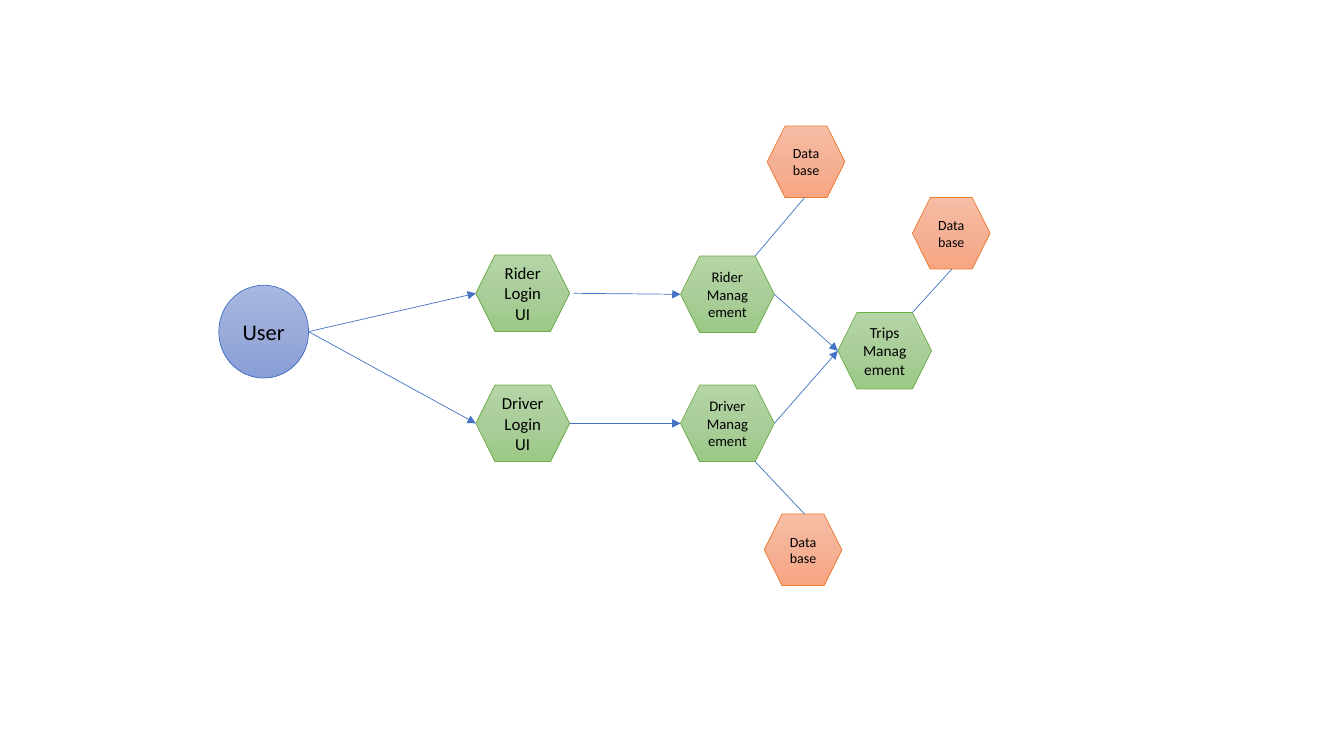
from copy import deepcopy
from dataclasses import dataclass

from lxml.etree import SubElement
from pptx import Presentation
from pptx.dml.color import RGBColor
from pptx.enum.shapes import MSO_CONNECTOR, MSO_SHAPE
from pptx.enum.text import MSO_ANCHOR, PP_ALIGN
from pptx.oxml.ns import qn
from pptx.shapes.autoshape import Shape
from pptx.slide import Slide
from pptx.util import Pt

EMU_PER_PX = 9144


@dataclass(frozen=True)
class Style:
    """Geometry, size in px, gradient and outline shared by one kind of node."""

    geometry: MSO_SHAPE
    width: int
    height: int
    gradient: tuple[str, str, str]
    outline: str


@dataclass(frozen=True)
class Theme:
    """Colours, type sizes and line width of the slide."""

    font: str = "Calibri"
    text: str = "000000"
    link: str = "4472C4"
    line_width: float = 0.5
    user_size: float = 16
    login_size: float = 12
    trips_size: float = 11
    management_size: float = 10.5
    database_size: float = 10
    user: Style = Style(MSO_SHAPE.OVAL, 89, 92, ("A8B7DF", "9AABD9", "889ED7"), "4472C4")
    service: Style = Style(MSO_SHAPE.HEXAGON, 93, 76, ("B5D5A7", "AACE9A", "9CC987"), "70AD47")
    database: Style = Style(MSO_SHAPE.HEXAGON, 77, 71, ("F7BDA5", "F5B196", "F8A582"), "ED7D31")


THEME = Theme()


@dataclass(frozen=True)
class Node:
    """A labelled shape placed by its top left corner in px."""

    label: str
    left: int
    top: int
    style: Style
    size: float

    def anchor(self, side: str) -> tuple[int, int]:
        """Return the px point on the named side or hexagon corner."""
        width, height = self.style.width, self.style.height
        corner = width - height // 4
        x, y = {
            "left": (0, height // 2),
            "right": (width, height // 2),
            "top": (width // 2, 0),
            "bottom": (width // 2, height),
            "top right": (corner, 0),
            "bottom right": (corner, height),
        }[side]
        return self.left + x, self.top + y


@dataclass(frozen=True)
class Link:
    """A line between two node anchors, with optional horizontal shifts in px."""

    start: Node
    start_side: str
    end: Node
    end_side: str
    arrow: bool = True
    start_shift: int = 0
    end_shift: int = 0


USER = Node("User", 217, 283, THEME.user, THEME.user_size)
RIDER_LOGIN = Node("Rider Login UI", 472, 253, THEME.service, THEME.login_size)
DRIVER_LOGIN = Node("Driver Login UI", 472, 382, THEME.service, THEME.login_size)
RIDER = Node("Rider Management", 675, 254, THEME.service, THEME.management_size)
DRIVER = Node("Driver Management", 675, 382, THEME.service, THEME.management_size)
TRIPS = Node("Trips Management", 831, 310, THEME.service, THEME.trips_size)
TRIPS_DATA = Node("Database", 905, 196, THEME.database, THEME.database_size)
RIDER_DATA = Node("Database", 761, 125, THEME.database, THEME.database_size)
DRIVER_DATA = Node("Database", 758, 510, THEME.database, THEME.database_size)

NODES = (USER, RIDER_LOGIN, DRIVER_LOGIN, RIDER, DRIVER, TRIPS, TRIPS_DATA, RIDER_DATA, DRIVER_DATA)

LINKS = (
    Link(USER, "right", RIDER_LOGIN, "left"),
    Link(USER, "right", DRIVER_LOGIN, "left"),
    Link(RIDER_LOGIN, "right", RIDER, "left", start_shift=4),
    Link(DRIVER_LOGIN, "right", DRIVER, "left"),
    Link(DRIVER, "right", TRIPS, "left"),
    Link(RIDER, "right", TRIPS, "left"),
    Link(TRIPS, "top right", TRIPS_DATA, "bottom", arrow=False, end_shift=1),
    Link(RIDER, "top right", RIDER_DATA, "bottom", arrow=False, end_shift=-1),
    Link(DRIVER, "bottom right", DRIVER_DATA, "top", arrow=False, end_shift=2),
)


def px(value: int) -> int:
    """Convert px to EMU."""
    return value * EMU_PER_PX


def write_text(shape: Shape, text: str, *, size: float, color: str, font: str) -> None:
    """Write centred, wrapped text into a shape."""
    frame = shape.text_frame
    frame.word_wrap = True
    frame.vertical_anchor = MSO_ANCHOR.MIDDLE
    paragraph = frame.paragraphs[0]
    paragraph.alignment = PP_ALIGN.CENTER
    run = paragraph.add_run()
    run.text = text
    run.font.name = font
    run.font.size = Pt(size)
    run.font.color.rgb = RGBColor.from_string(color)


def fill_gradient(shape: Shape, colors: tuple[str, str, str]) -> None:
    """Fill a shape with an even three-stop gradient from top to bottom."""
    shape.fill.gradient()
    shape.fill.gradient_angle = 270
    stop_list = shape.element.spPr.find(".//" + qn("a:gsLst"))
    stop_list.insert(1, deepcopy(stop_list[0]))
    for index, (stop, color) in enumerate(zip(shape.fill.gradient_stops, colors)):
        stop.position = index / 2
        stop.color.rgb = RGBColor.from_string(color)


def draw_node(slide: Slide, node: Node) -> None:
    """Draw one node with its label."""
    style = node.style
    shape = slide.shapes.add_shape(
        style.geometry, px(node.left), px(node.top), px(style.width), px(style.height)
    )
    shape.shadow.inherit = False
    fill_gradient(shape, style.gradient)
    shape.line.color.rgb = RGBColor.from_string(style.outline)
    shape.line.width = Pt(THEME.line_width)
    write_text(shape, node.label, size=node.size, color=THEME.text, font=THEME.font)


def draw_link(slide: Slide, link: Link) -> None:
    """Draw one link, with an arrowhead when it shows a flow."""
    start_x, start_y = link.start.anchor(link.start_side)
    end_x, end_y = link.end.anchor(link.end_side)
    connector = slide.shapes.add_connector(
        MSO_CONNECTOR.STRAIGHT,
        px(start_x + link.start_shift),
        px(start_y),
        px(end_x + link.end_shift),
        px(end_y),
    )
    connector.line.color.rgb = RGBColor.from_string(THEME.link)
    connector.line.width = Pt(THEME.line_width)
    properties = connector.element.spPr
    if link.arrow:
        SubElement(properties.find(qn("a:ln")), qn("a:tailEnd"), type="triangle")
    SubElement(properties, qn("a:effectLst"))


def main() -> None:
    """Build and save the service diagram."""
    presentation = Presentation()
    presentation.slide_width = px(1333)
    presentation.slide_height = px(750)
    slide = presentation.slides.add_slide(presentation.slide_layouts[6])
    for node in NODES:
        draw_node(slide, node)
    for link in LINKS:
        draw_link(slide, link)
    presentation.save("out.pptx")


if __name__ == "__main__":
    main()
